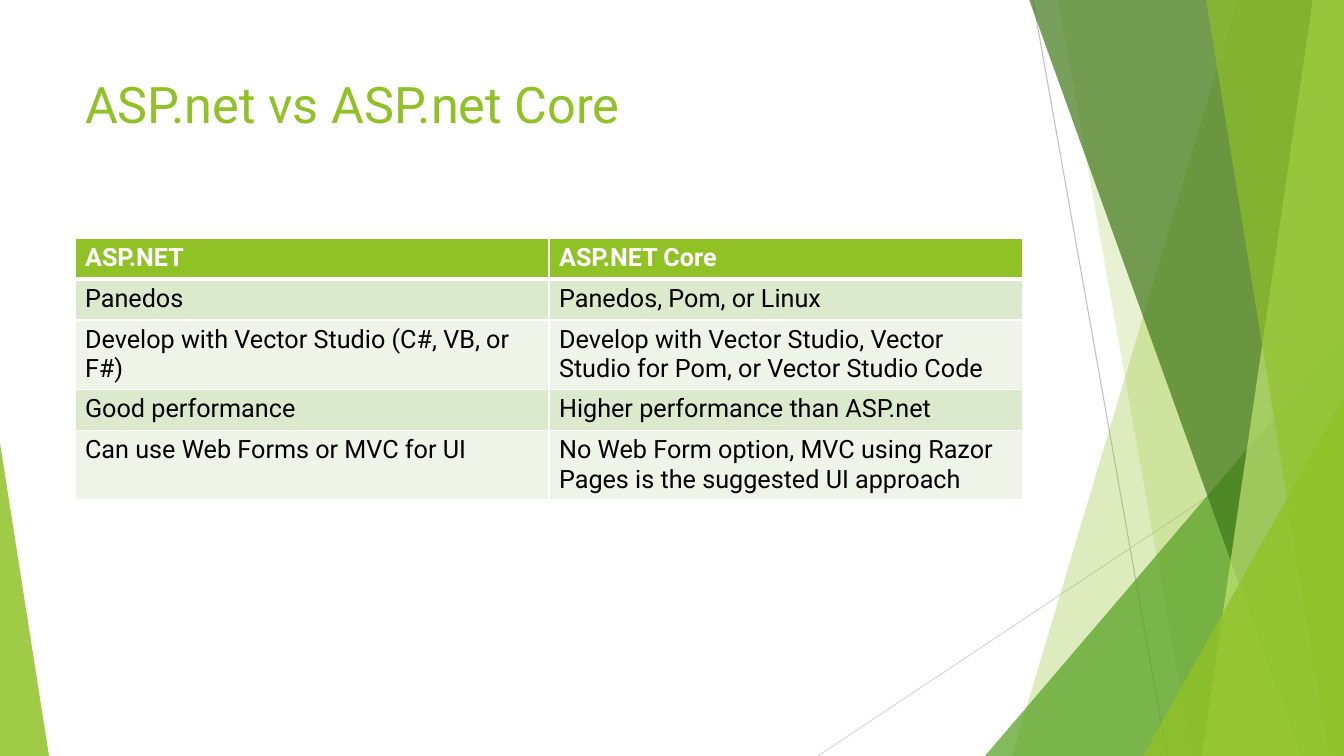
import lxml.etree
import pptx
import pptx.dml.color
import pptx.enum.shapes
import pptx.enum.text
import pptx.oxml
import pptx.oxml.ns
import pptx.util

RGBColor = pptx.dml.color.RGBColor
LIME = RGBColor(0x90, 0xC2, 0x26)
PALE_LIME = RGBColor(0xC0, 0xE4, 0x74)
GREEN = RGBColor(0x54, 0xA0, 0x21)
DARK_GREEN = RGBColor(0x3F, 0x78, 0x19)
BAND_DARK = RGBColor(0xDB, 0xE9, 0xCD)
BAND_LIGHT = RGBColor(0xEE, 0xF4, 0xE8)
GRAY = RGBColor(0xBF, 0xBF, 0xBF)
LIGHT_GRAY = RGBColor(0xD9, 0xD9, 0xD9)
WHITE = RGBColor(0xFF, 0xFF, 0xFF)
BLACK = RGBColor(0x00, 0x00, 0x00)

EMU_PER_PX = 914400 / 100.8
WIDTH, HEIGHT = 1344, 756
TOP = -1
ROW_HEIGHT = 41
TITLE_ONLY = 5

COMPARISON = [
    ("ASP.NET", "ASP.NET Core"),
    ("Panedos", "Panedos, Pom, or Linux"),
    ("Develop with Vector Studio (C#, VB, or F#)",
     "Develop with Vector Studio, Vector Studio for Pom, or Vector Studio Code"),
    ("Good performance", "Higher performance than ASP.net"),
    ("Can use Web Forms or MVC for UI",
     "No Web Form option, MVC using Razor Pages is the suggested UI approach"),
]


def px(length):
    return pptx.util.Emu(round(length * EMU_PER_PX))


def write_text(text_frame, text, size=18, color=BLACK, bold=False, font="Roboto"):
    paragraph = text_frame.paragraphs[0]
    paragraph.alignment = pptx.enum.text.PP_ALIGN.LEFT
    run = paragraph.add_run()
    run.text = text
    run.font.name = font
    run.font.size = pptx.util.Pt(size)
    run.font.bold = bold
    run.font.color.rgb = color


def add_cell_borders(cell, bottom):
    """Draw white borders, 1 pt wide except for the bottom one."""
    properties = cell._tc.get_or_add_tcPr()
    for side, points in (("L", 1), ("R", 1), ("T", 1), ("B", bottom)):
        properties.append(pptx.oxml.parse_xml(
            f'<a:ln{side} {pptx.oxml.ns.nsdecls("a")} w="{pptx.util.Pt(points)}">'
            f'<a:solidFill><a:srgbClr val="{WHITE}"/></a:solidFill></a:ln{side}>'))


class FacetSlide:
    def __init__(self, presentation):
        self.slide = presentation.slides.add_slide(
            presentation.slide_layouts[TITLE_ONLY])
        self.shapes = self.slide.shapes

    def line(self, start, end, color):
        connector = self.shapes.add_connector(
            pptx.enum.shapes.MSO_CONNECTOR.STRAIGHT, *map(px, start + end))
        connector.line.color.rgb = color
        connector.line.width = pptx.util.Pt(0.75)
        lxml.etree.SubElement(
            connector._element.spPr, pptx.oxml.ns.qn("a:effectLst"))

    def paint(self, shape, color, opacity):
        """Fill with a see-through colour, opacity in percent."""
        shape.shadow.inherit = False
        shape.line.fill.background()
        shape.fill.solid()
        shape.fill.fore_color.rgb = color
        color_element = shape._element.spPr.find(".//" + pptx.oxml.ns.qn("a:srgbClr"))
        lxml.etree.SubElement(
            color_element, pptx.oxml.ns.qn("a:alpha"), val=str(opacity * 1000))

    def facet(self, top_x, bottom_x, color, opacity):
        """Fill everything right of a slanted edge."""
        builder = self.shapes.build_freeform(top_x, TOP, scale=EMU_PER_PX)
        builder.add_line_segments(
            [(WIDTH, TOP), (WIDTH, HEIGHT), (bottom_x, HEIGHT)], close=True)
        self.paint(builder.convert_to_shape(), color, opacity)

    def corner(self, left, top, width, apex, color, opacity):
        """Add a triangle standing on the bottom edge, apex from 0 to 1."""
        triangle = self.shapes.add_shape(
            pptx.enum.shapes.MSO_SHAPE.ISOSCELES_TRIANGLE,
            px(left), px(top), px(width), px(HEIGHT - top))
        triangle.adjustments[0] = apex
        self.paint(triangle, color, opacity)

    def title(self, text, left, top, width, height):
        title = self.shapes.title
        title.left, title.top, title.width, title.height = map(
            px, (left, top, width, height))
        title.text_frame.word_wrap = True
        title.text_frame.vertical_anchor = pptx.enum.text.MSO_ANCHOR.TOP
        write_text(title.text_frame, text, size=36, color=LIME)

    def table(self, rows, left, top, width):
        table = self.shapes.add_table(
            len(rows), len(rows[0]), px(left), px(top), px(width),
            px(ROW_HEIGHT * len(rows))).table
        table.horz_banding = False
        for row_index, texts in enumerate(rows):
            header = row_index == 0
            band = BAND_DARK if row_index % 2 else BAND_LIGHT
            for column_index, text in enumerate(texts):
                cell = table.cell(row_index, column_index)
                add_cell_borders(cell, bottom=3 if header else 1)
                cell.fill.solid()
                cell.fill.fore_color.rgb = LIME if header else band
                write_text(cell.text_frame, text, bold=header,
                           color=WHITE if header else BLACK)


def main():
    presentation = pptx.Presentation()
    presentation.slide_width = px(WIDTH)
    presentation.slide_height = px(HEIGHT)
    slide = FacetSlide(presentation)

    slide.line((1033, 0), (1167, HEIGHT), GRAY)
    slide.line((WIDTH, 406), (818, HEIGHT), LIGHT_GRAY)
    slide.facet(1238, 1012, LIME, 30)
    slide.facet(1058, 1192, LIME, 20)
    slide.corner(985, 336, 359, 1, GREEN, 72)
    slide.facet(1029, 1301, DARK_GREEN, 70)
    slide.facet(1313, 1202, PALE_LIME, 70)
    slide.facet(1206, 1329, LIME, 65)
    slide.corner(1143, 396, 201, 1, LIME, 80)
    slide.corner(0, 443, 49, 0, LIME, 85)

    slide.title("ASP.net vs ASP.net Core", 75, 68, 948, 145)
    slide.table(COMPARISON, 75, 238, 948)
    presentation.save("out.pptx")


if __name__ == "__main__":
    main()
